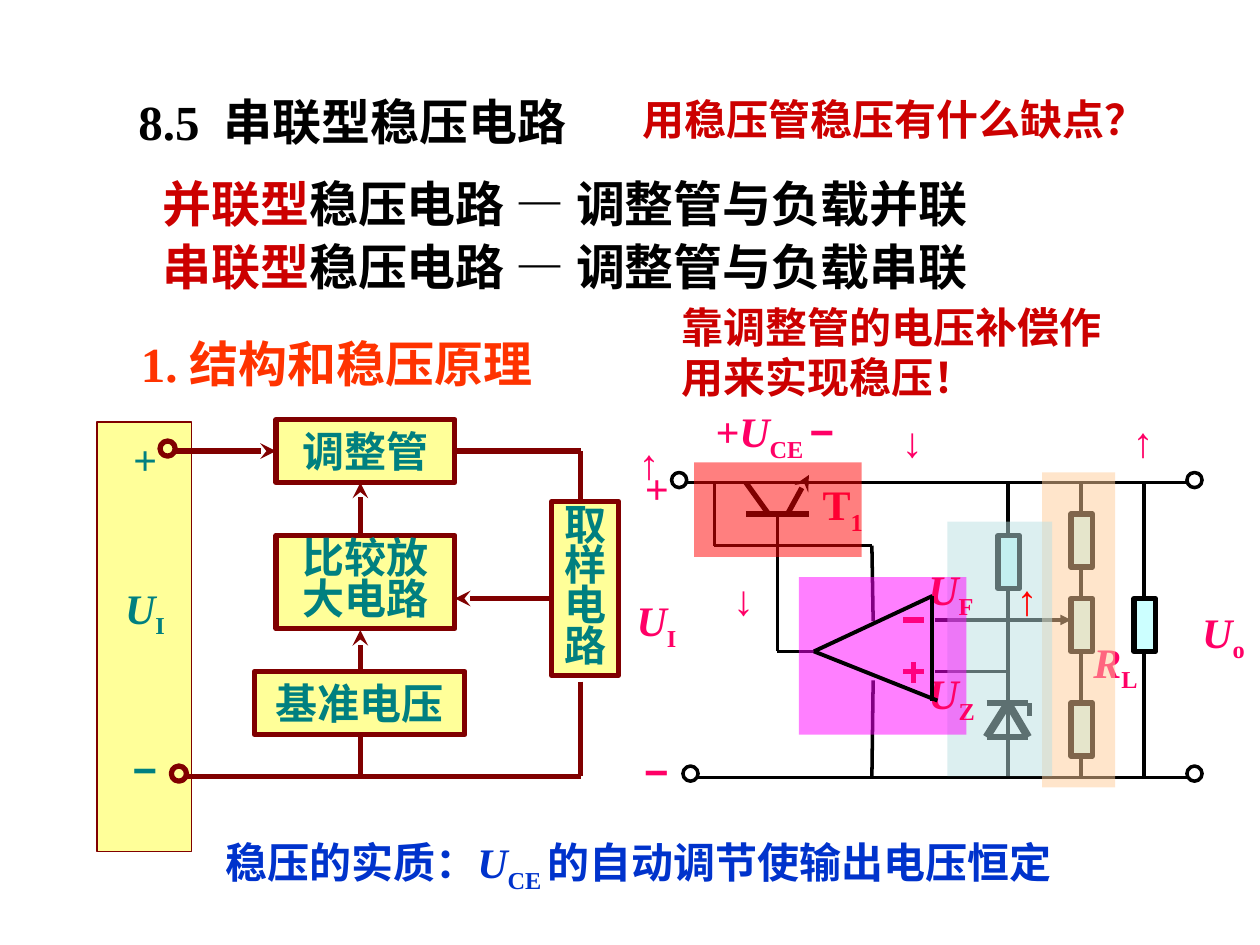
from dataclasses import dataclass
from typing import NamedTuple

from lxml.etree import SubElement
from pptx import Presentation
from pptx.dml.color import RGBColor
from pptx.enum.shapes import MSO_CONNECTOR, MSO_SHAPE
from pptx.enum.text import MSO_ANCHOR, PP_ALIGN
from pptx.oxml.ns import qn
from pptx.util import Inches, Pt

COLORS = {
    "black": "000000", "white": "FFFFFF", "red": "FF0000", "crimson": "CC0000",
    "orange": "FF3300", "blue": "0033CC", "pink": "FF0066", "teal": "008080",
    "maroon": "800000", "yellow": "FFFF99", "resistor": "CCFFFF",
    "peach": "FFCC99", "aqua": "BBE0E3", "magenta": "FF00FF",
}
SERIF, SANS = "Times New Roman", "Arial"


class Span(NamedTuple):
    text: str
    italic: bool = False
    sub: bool = False
    font: str = SERIF
    color: str = ""


@dataclass
class Label:
    left: float
    top: float
    width: float
    height: float
    spans: list[Span]
    color: str = "pink"
    size: int = 24
    centered: bool = False


@dataclass
class Wire:
    x1: float
    y1: float
    x2: float
    y2: float
    width: float = 2
    color: str = "black"
    arrow: str = ""


@dataclass
class Block:
    left: float
    top: float
    width: float
    height: float
    fill: str
    line: str = ""
    weight: float = 3
    text: str = ""
    opacity: int = 100
    kind: MSO_SHAPE = MSO_SHAPE.RECTANGLE
    spacing: float = 1


def rgb(name: str) -> RGBColor:
    return RGBColor.from_string(COLORS[name])


def style(run, color: str, size: int, font: str = SERIF) -> None:
    run.font.name, run.font.size, run.font.bold = font, Pt(size), True
    run.font.color.rgb = rgb(color)


def draw_wire(shapes, wire: Wire) -> None:
    ends = [Inches(v) for v in (wire.x1, wire.y1, wire.x2, wire.y2)]
    connector = shapes.add_connector(MSO_CONNECTOR.STRAIGHT, *ends)
    connector.line.color.rgb = rgb(wire.color)
    connector.line.width = Pt(wire.width)
    properties = connector.element.spPr
    if wire.arrow:
        SubElement(properties.find(qn("a:ln")), qn("a:tailEnd")).set("type", wire.arrow)
    SubElement(properties, qn("a:effectLst"))


def draw_block(shapes, block: Block) -> None:
    frame = [Inches(v) for v in (block.left, block.top, block.width, block.height)]
    shape = shapes.add_shape(block.kind, *frame)
    shape.shadow.inherit = False
    shape.fill.solid()
    shape.fill.fore_color.rgb = rgb(block.fill)
    if block.opacity < 100:
        color = shape.element.spPr.find(f"{qn('a:solidFill')}/{qn('a:srgbClr')}")
        SubElement(color, qn("a:alpha")).set("val", str(block.opacity * 1000))
    if block.line:
        shape.line.color.rgb = rgb(block.line)
        shape.line.width = Pt(block.weight)
    else:
        shape.line.fill.background()
    if block.text:
        shape.text_frame.text = block.text
        shape.text_frame.vertical_anchor = MSO_ANCHOR.MIDDLE
        for paragraph in shape.text_frame.paragraphs:
            paragraph.alignment = PP_ALIGN.CENTER
            paragraph.line_spacing = block.spacing
            style(paragraph.runs[0], "teal", 24)


def draw_label(shapes, label: Label) -> None:
    frame = [Inches(v) for v in (label.left, label.top, label.width, label.height)]
    text_frame = shapes.add_textbox(*frame).text_frame
    text_frame.word_wrap = True
    paragraph = text_frame.paragraphs[0]
    if label.centered:
        text_frame.vertical_anchor = MSO_ANCHOR.MIDDLE
        paragraph.alignment = PP_ALIGN.CENTER
    for span in label.spans:
        run = paragraph.add_run()
        run.text = span.text
        style(run, span.color or label.color, label.size, span.font)
        run.font.italic = span.italic
        if span.sub:
            run.font._element.set("baseline", "-25000")


def voltage(subscript: str, symbol: str = "U") -> list[Span]:
    return [Span(symbol, italic=True), Span(subscript, sub=True)]


def centered_label(x: float, y: float, spans: list[Span], color: str = "pink") -> Label:
    return Label(x - 0.46, y - 0.28, 0.92, 0.56, spans, color, centered=True)


def terminal(left: float, top: float, fill: str, line: str, weight: float) -> Block:
    return Block(left, top, 0.12, 0.12, fill, line, weight, kind=MSO_SHAPE.OVAL)


PLUS = [Span("+", italic=True)]
MINUS = [Span("−", font=SANS)]
TOP, BOTTOM = 3.83, 6.17

# Circuit diagram, beneath the translucent highlights
circuit_wires = [
    # Zener diode
    Wire(8.17, 5.58, 8.17, 5.68, 3),
    *[Wire(7.83, y, 8.16, y, 3) for y in (5.58, 5.85)],
    *[Wire(8, 5.58, x, 5.85, 4.5) for x in (7.83, 8.16)],
    # Amplifier input signs
    *[Wire(7.33, y, 7.17, y, 3, "red") for y in (4.92, 5.33)],
    Wire(7.25, 5.42, 7.25, 5.25, 3, "red"),
    # Transistor
    Wire(5.92, 4.08, 6.42, 4.08, 3),
    Wire(6.1, 4.08, 5.92, TOP, 3),
    Wire(6.25, 4.08, 6.42, 3.77, 3, arrow="stealth"),
    # Rails and branches
    *[Wire(5.42, y, 9.42, y) for y in (TOP, BOTTOM)],
    *[Wire(x, TOP, x, BOTTOM) for x in (8, 8.58, 9.08)],
    Wire(6.17, 4.08, 6.17, 5.17),
    Wire(6.17, 5.17, 6.5, 5.17),
    Wire(7.42, 4.92, 8.5, 4.92, arrow="triangle"),
    Wire(7.42, 5.33, 8, 5.33),
    Wire(5.67, TOP, 5.67, 4.33),
    Wire(5.67, 4.33, 6.92, 4.33),
    Wire(6.92, 4.33, 6.93, 4.93),
    Wire(6.93, 5.4, 6.92, BOTTOM),
]
resistors = [Block(x, y, 0.17, 0.42, "resistor", "black") for x, y in
             ((7.92, 4.25), (8.5, 5.58), (8.5, 4.75), (8.5, 4.08), (9, 4.75))]
circuit_terminals = [terminal(x, y, "white", "black", 2) for x, y in
                     ((5.33, 3.75), (5.42, 6.08), (9.42, 3.75), (9.42, 6.08))]
circuit_labels = [
    centered_label(9.71, 5.04, voltage("o")),
    centered_label(5.21, 3.87, PLUS),
    centered_label(5.21, 4.95, voltage("I")),
    centered_label(5.21, 6.12, MINUS),
    Label(8.58, 5, 0.92, 0.56, voltage("L", "R")),
    Label(6.43, 3.75, 0.6, 0.56, [Span("T"), Span("1", sub=True)]),
    Label(5.58, 3.17, 1.5, 0.56, [Span("+U", italic=True), Span("CE ", sub=True), *MINUS]),
]
highlights = [
    Block(5.51, 3.67, 1.33, 0.75, "red", opacity=50),
    Block(8.27, 3.75, 0.58, 2.5, "peach", opacity=50),
    Block(7.52, 4.14, 0.83, 2.02, "aqua", opacity=50),
    Block(6.34, 4.58, 1.33, 1.25, "magenta", opacity=50),
]
amplifier = [Wire(7.4, 4.73, 7.4, 5.56, 2.25), Wire(6.46, 5.17, 7.4, 4.73, 2.25),
             Wire(6.46, 5.17, 7.44, 5.56, 2.25)]

# Block diagram
input_panel = Block(0.77, 3.35, 0.75, 3.41, "yellow", "maroon", 0.75)
flow_lines = [Wire(*ends, width=3, color="maroon", arrow=arrow) for *ends, arrow in (
    (3.61, 3.58, 4.61, 3.58, ""), (1.36, 3.58, 2.19, 3.58, "stealth"),
    (4.61, 3.58, 4.61, 4, ""), (4.61, 5.41, 4.61, 6.16, ""),
    (2.86, 5.83, 2.86, 6.16, ""), (1.44, 6.16, 4.61, 6.16, ""),
    (4.36, 4.75, 3.61, 4.75, "stealth"), (2.86, 5.33, 2.86, 5, "stealth"),
    (2.86, 4.25, 2.86, TOP, "stealth"))]
stages = [Block(*frame, "yellow", "maroon", text=text, spacing=spacing) for *frame, text, spacing in (
    (4.38, 3.98, 0.53, 1.38, "取\n样\n电\n路", 0.8), (2.19, 3.33, 1.42, 0.5, "调整管", 1),
    (2.19, 4.25, 1.42, 0.74, "比较放大电路", 0.8), (2.02, 5.33, 1.67, 0.5, "基准电压", 1))]
input_terminals = [terminal(x, y, "yellow", "maroon", 3) for x, y in ((1.27, 3.5), (1.36, 6.08))]
input_labels = [centered_label(1.15, y, spans, "teal") for y, spans in
                ((3.64, PLUS), (4.85, voltage("I")), (6.1, MINUS))]

# Headings, remarks and voltage changes
remarks = [
    *[Label(1.19, y, 7.25, 0.57, [Span(kind + "联型", color="crimson"),
            Span(f"稳压电路 — 调整管与负载{kind}联")], "black", 28)
      for y, kind in ((1.33, "并"), (1.83, "串"))],
    Label(1, 0.68, 3.84, 0.57, [Span("8.5  串联型稳压电路")], "black", 28),
    Label(1.02, 2.6, 4.5, 0.57, [Span("1. 结构和稳压原理")], "orange", 28),
    Label(1.69, 6.59, 7.16, 0.56, [Span("稳压的实质："), *voltage("CE "),
                                   Span("的自动调节使输出电压恒定")], "blue"),
    Label(5, 0.69, 4.37, 0.5, [Span("用稳压管稳压有什么缺点？")], "crimson"),
    Label(5.31, 2.34, 3.54, 0.9, [Span("靠调整管的电压补偿作用来实现稳压！")], "crimson"),
    *[Label(7.27, y, 0.83, 0.56, voltage(sub)) for y, sub in ((5.25, "Z"), (4.42, "F"))],
    *[Label(x, y, 0.4, 0.5, [Span(mark, font=SANS)], color) for x, y, mark, color in (
        (4.97, 3.42, "↑", "pink"), (8.89, 3.25, "↑", "pink"), (7.97, 4.5, "↑", "red"),
        (5.72, 4.5, "↓", "pink"), (7.06, 3.25, "↓", "pink"))],
]


def main() -> None:
    prs = Presentation()
    prs.slide_width, prs.slide_height = Inches(10), Inches(7.5)
    shapes = prs.slides.add_slide(prs.slide_layouts[6]).shapes
    painters = {Wire: draw_wire, Block: draw_block, Label: draw_label}
    for part in (*circuit_wires, *resistors, *circuit_terminals, *circuit_labels,
                 *highlights, input_panel, *flow_lines, *stages, *input_terminals,
                 *input_labels, *remarks, *amplifier):
        painters[type(part)](shapes, part)
    prs.save("out.pptx")


if __name__ == "__main__":
    main()
